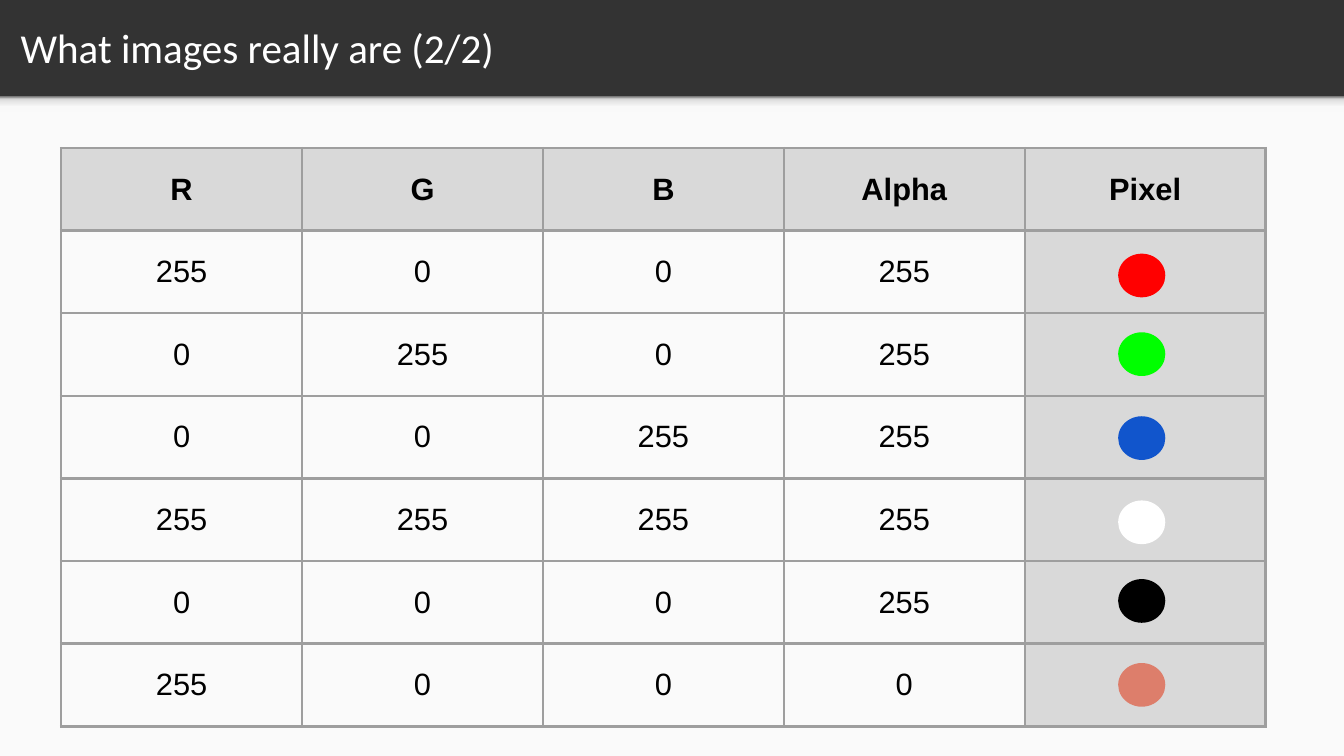
from lxml import etree
from pptx import Presentation
from pptx.dml.color import RGBColor
from pptx.enum.shapes import MSO_SHAPE
from pptx.enum.text import MSO_ANCHOR, PP_ALIGN
from pptx.oxml.ns import qn
from pptx.util import Cm, Pt

RECTANGLE, ELLIPSE = MSO_SHAPE.RECTANGLE, MSO_SHAPE.OVAL
MIDDLE, CENTER = MSO_ANCHOR.MIDDLE, PP_ALIGN.CENTER

SLIDE_WIDTH, SLIDE_HEIGHT = 50.77, 28.55
HEADER_HEIGHT = 3.65
INSET = 0.25
DARK, LIGHT, GREY, LINE = "333333", "FAFAFA", "D9D9D9", "9E9E9E"
BLACK, WHITE = "000000", "FFFFFF"
SHADOW_STOPS = [(0, "F9F9F9"), (36, "F9F9F9"), (80, "DEDEDE"), (100, "999999")]

HEADINGS = ["R", "G", "B", "Alpha", "Pixel"]
# Channel values, colour of the dot, and its distance from the top of the row
PIXELS = [
    ((255, 0, 0, 255), "FF0000", 0.87),
    ((0, 255, 0, 255), "00FF00", 0.72),
    ((0, 0, 255, 255), "1155CC", 0.77),
    ((255, 255, 255, 255), WHITE, 0.83),
    ((0, 0, 0, 255), BLACK, 0.68),
    ((255, 0, 0, 0), "DD7E6B", 0.73),
]
DOT_LEFT, DOT_WIDTH, DOT_HEIGHT = 3.53, 1.78, 1.65


def color(hex_string):
    return RGBColor.from_string(hex_string)


def add_plain_shape(slide, kind, left, top, width, height, fill):
    shape = slide.shapes.add_shape(kind, Cm(left), Cm(top), Cm(width), Cm(height))
    shape.shadow.inherit = False
    shape.line.fill.background()
    shape.fill.solid()
    shape.fill.fore_color.rgb = color(fill)
    return shape


def add_run(paragraph, text, font_name, size, hex_string, bold=False):
    run = paragraph.add_run()
    run.text = text
    run.font.name = font_name
    run.font.size = Pt(size)
    run.font.bold = bold
    run.font.color.rgb = color(hex_string)


def set_gradient(shape, stops):
    shape.fill.gradient()
    shape.fill.gradient_angle = 90
    stop_list = shape.fill._fill._gradFill.find(qn("a:gsLst"))
    for stop in list(stop_list):
        stop_list.remove(stop)
    for percent, hex_string in stops:
        stop = etree.SubElement(stop_list, qn("a:gs"), pos=str(percent * 1000))
        etree.SubElement(stop, qn("a:srgbClr"), val=hex_string)


def set_borders(cell, hex_string, points):
    properties = cell._tc.get_or_add_tcPr()
    for index, side in enumerate(("a:lnL", "a:lnR", "a:lnT", "a:lnB")):
        border = etree.Element(qn(side), w=str(Pt(points)))
        fill = etree.SubElement(border, qn("a:solidFill"))
        etree.SubElement(fill, qn("a:srgbClr"), val=hex_string)
        properties.insert(index, border)


def add_backdrop(slide, left, top, width, height):
    slide.background.fill.solid()
    slide.background.fill.fore_color.rgb = color(DARK)
    add_plain_shape(slide, RECTANGLE, left, top, width, height, LIGHT)
    shadow = add_plain_shape(slide, RECTANGLE, left, top, width, 0.6, LIGHT)
    set_gradient(shadow, SHADOW_STOPS)


def add_title(slide, left, top, width, height, text):
    box = slide.shapes.add_textbox(Cm(left), Cm(top), Cm(width), Cm(height))
    frame = box.text_frame
    frame.word_wrap = True
    frame.vertical_anchor = MIDDLE
    frame.margin_left = frame.margin_right = Cm(INSET)
    frame.margin_top = frame.margin_bottom = Cm(INSET)
    add_run(frame.paragraphs[0], text, "Calibri", 44, WHITE)


def fill_cell(cell, text, bold, shaded):
    cell.vertical_anchor = MIDDLE
    cell.margin_left = cell.margin_right = Cm(INSET)
    cell.margin_top = cell.margin_bottom = Cm(INSET)
    if shaded:
        cell.fill.solid()
        cell.fill.fore_color.rgb = color(GREY)
    else:
        cell.fill.background()
    set_borders(cell, LINE, 3)
    if text:
        paragraph = cell.text_frame.paragraphs[0]
        paragraph.alignment = CENTER
        add_run(paragraph, text, "Arial", 33, BLACK, bold)


def add_pixel_table(slide, left, top, width, height):
    rows = [HEADINGS] + [[str(v) for v in values] + [""] for values, _, _ in PIXELS]
    column_count = len(HEADINGS)
    column_width, row_height = width / column_count, height / len(rows)
    table = slide.shapes.add_table(
        len(rows), column_count, Cm(left), Cm(top), Cm(width), Cm(height)
    ).table
    table.first_row = table.horz_banding = False
    for row_index, texts in enumerate(rows):
        for column_index, text in enumerate(texts):
            is_heading = row_index == 0
            shaded = is_heading or column_index == column_count - 1
            fill_cell(table.cell(row_index, column_index), text, is_heading, shaded)

    # Colour dots in the last column
    dot_left = left + (column_count - 1) * column_width + DOT_LEFT
    for row_index, (_, fill, offset) in enumerate(PIXELS, start=1):
        dot_top = top + row_index * row_height + offset
        add_plain_shape(slide, ELLIPSE, dot_left, dot_top, DOT_WIDTH, DOT_HEIGHT, fill)


def main():
    presentation = Presentation()
    presentation.slide_width = Cm(SLIDE_WIDTH)
    presentation.slide_height = Cm(SLIDE_HEIGHT)
    slide = presentation.slides.add_slide(presentation.slide_layouts[6])
    add_backdrop(slide, 0, HEADER_HEIGHT, SLIDE_WIDTH, SLIDE_HEIGHT - HEADER_HEIGHT)
    add_title(slide, 0.53, 0.1, 49.02, 3.35, "What images really are (2/2)")
    add_pixel_table(slide, 2.31, 5.59, 45.5, 21.84)
    presentation.save("out.pptx")


if __name__ == "__main__":
    main()
